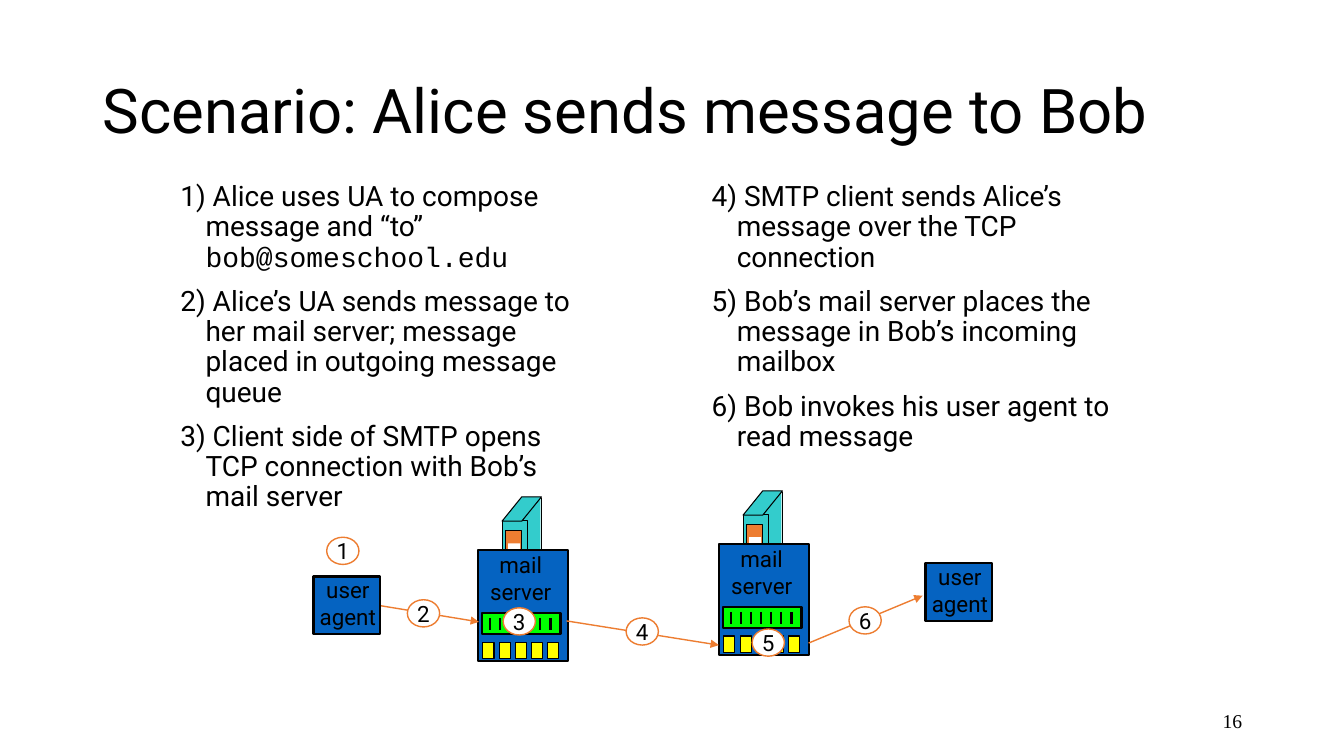
import pptx
import pptx.util
import pptx.dml.color
import pptx.enum.shapes
import pptx.enum.text
import pptx.oxml.ns
import lxml.etree

Inches = pptx.util.Inches
Pt = pptx.util.Pt
RGBColor = pptx.dml.color.RGBColor
SHAPE = pptx.enum.shapes.MSO_SHAPE
ALIGN = pptx.enum.text.PP_ALIGN
ANCHOR = pptx.enum.text.MSO_ANCHOR

BLACK = RGBColor(0x00, 0x00, 0x00)
WHITE = RGBColor(0xFF, 0xFF, 0xFF)
BLUE = RGBColor(0x05, 0x63, 0xC1)
TEAL = RGBColor(0x33, 0xCC, 0xCC)
ORANGE = RGBColor(0xED, 0x7D, 0x31)
GREEN = RGBColor(0x00, 0xFF, 0x00)
YELLOW = RGBColor(0xFF, 0xFF, 0x00)

ADDRESS = "bob@someschool.edu"
LEFT_STEPS = [
    "1) Alice uses UA to compose message and “to” ",
    "2) Alice’s UA sends message to her mail server; message placed in outgoing message queue",
    "3) Client side of SMTP opens TCP connection with Bob’s mail server",
]
RIGHT_STEPS = [
    "4) SMTP client sends Alice’s message over the TCP connection",
    "5) Bob’s mail server places the message in Bob’s incoming mailbox",
    "6) Bob invokes his user agent to read message",
]


def style_run(run, size, font="Roboto"):
    run.font.size = Pt(size)
    run.font.name = font
    run.font.color.rgb = BLACK


def add_text(slide, box, lines, size, align=ALIGN.LEFT, font="Roboto",
             anchor=ANCHOR.TOP, wrap=True):
    text_frame = slide.shapes.add_textbox(*map(Inches, box)).text_frame
    text_frame.word_wrap = wrap
    text_frame.vertical_anchor = anchor
    text_frame.text = "\n".join(lines)
    for paragraph in text_frame.paragraphs:
        paragraph.alignment = align
        for run in paragraph.runs:
            style_run(run, size, font)
    return text_frame


def add_steps(slide, box, steps):
    text_frame = add_text(slide, box, steps, 20)
    for index, paragraph in enumerate(text_frame.paragraphs):
        properties = paragraph._p.get_or_add_pPr()
        properties.set("marL", str(Inches(0.25)))
        properties.set("indent", str(Inches(-0.25)))
        paragraph.line_spacing = 0.9
        if index:
            paragraph.space_before = Pt(10)
    return text_frame


def add_block(slide, kind, box, fill, line=None, width=0.75):
    shape = slide.shapes.add_shape(kind, *map(Inches, box))
    shape.shadow.inherit = False
    shape.fill.solid()
    shape.fill.fore_color.rgb = fill
    if line is None:
        shape.line.fill.background()
    else:
        shape.line.color.rgb = line
        shape.line.width = Pt(width)
    return shape


def add_line(slide, start, end, color, width, arrow=False):
    connector = slide.shapes.add_connector(
        pptx.enum.shapes.MSO_CONNECTOR.STRAIGHT, *map(Inches, start + end))
    connector.line.color.rgb = color
    connector.line.width = Pt(width)
    if arrow:
        tail = lxml.etree.SubElement(connector.line._get_or_add_ln(),
                                     pptx.oxml.ns.qn("a:tailEnd"))
        tail.set("type", "triangle")
    lxml.etree.SubElement(connector._element.spPr, pptx.oxml.ns.qn("a:effectLst"))


def add_user_agent(slide, left, top):
    add_block(slide, SHAPE.RECTANGLE, (left, top, 0.66, 0.57), BLUE, BLACK, 1.5)
    add_text(slide, (left - 0.05, top - 0.05, 0.78, 0.64), ["user", "agent"], 16,
             ALIGN.CENTER, wrap=False)


def add_mail_server(slide, left, top):
    # Computer tower behind the server box
    add_block(slide, SHAPE.RECTANGLE, (left + 0.44, top - 0.53, 0.18, 0.78), TEAL)
    add_block(slide, SHAPE.RECTANGLE, (left + 0.24, top - 0.3, 0.25, 0.78), TEAL, BLACK)
    roof = add_block(slide, SHAPE.PARALLELOGRAM, (left + 0.24, top - 0.53, 0.39, 0.24),
                     TEAL, BLACK)
    roof.adjustments[0] = 0.81
    add_line(slide, (left + 0.63, top - 0.52), (left + 0.63, top + 0.25), BLACK, 0.75)
    add_block(slide, SHAPE.RECTANGLE, (left + 0.27, top - 0.2, 0.16, 0.45), ORANGE, BLACK)
    add_block(slide, SHAPE.RECTANGLE, (left + 0.3, top - 0.07, 0.12, 0.16), WHITE)

    # Server box and its label
    add_block(slide, SHAPE.RECTANGLE, (left, top, 0.89, 1.1), BLUE, BLACK, 1.5)
    add_text(slide, (left + 0.01, top - 0.04, 0.83, 0.64), ["mail", "server"], 16,
             ALIGN.CENTER, wrap=False)

    # Outgoing message queue
    add_block(slide, SHAPE.RECTANGLE, (left + 0.04, top + 0.62, 0.78, 0.21),
              GREEN, BLACK, 1.5)
    for index in range(7):
        x = left + 0.12 + 0.1 * index
        add_line(slide, (x, top + 0.67), (x, top + 0.79), BLACK, 1.5)

    # User mailboxes
    for index in range(5):
        add_block(slide, SHAPE.RECTANGLE,
                  (left + 0.05 + 0.16 * index, top + 0.91, 0.11, 0.16), YELLOW, BLACK)


def add_step_marker(slide, number, left, top):
    marker = add_block(slide, SHAPE.OVAL, (left, top, 0.32, 0.27), WHITE, ORANGE, 1)
    text_frame = marker.text_frame
    text_frame.word_wrap = False
    text_frame.vertical_anchor = ANCHOR.MIDDLE
    text_frame.text = str(number)
    text_frame.paragraphs[0].alignment = ALIGN.CENTER
    style_run(text_frame.paragraphs[0].runs[0], 16)


def main():
    presentation = pptx.Presentation()
    presentation.slide_width = Inches(13.33)
    presentation.slide_height = Inches(7.5)
    slide = presentation.slides.add_slide(presentation.slide_layouts[6])

    # Title and slide number
    title = add_text(slide, (0.92, 0.4, 11.5, 1.45),
                     ["Scenario: Alice sends message to Bob"], 44, anchor=ANCHOR.MIDDLE)
    title.paragraphs[0].line_spacing = 0.9
    add_text(slide, (9.42, 6.95, 3, 0.4), ["16"], 14, ALIGN.RIGHT,
             "Times New Roman", ANCHOR.MIDDLE)

    # Scenario steps
    left_steps = add_steps(slide, (1.69, 1.76, 4.17, 3.52), LEFT_STEPS)
    address = left_steps.paragraphs[0].add_run()
    address.text = ADDRESS
    style_run(address, 20, "Courier New")
    add_steps(slide, (6.96, 1.76, 4.17, 2.91), RIGHT_STEPS)

    # Agents and servers
    add_user_agent(slide, 3.11, 5.72)
    add_mail_server(slide, 4.74, 5.46)
    add_mail_server(slide, 7.13, 5.4)
    add_user_agent(slide, 9.18, 5.59)

    # Message path
    for start, end in [((3.78, 6.01), (4.75, 6.17)),
                       ((5.62, 6.16), (7.13, 6.4)),
                       ((8.02, 6.38), (9.15, 5.91))]:
        add_line(slide, start, end, ORANGE, 1, arrow=True)

    # Step numbers along the path
    markers = [(3.24, 5.33), (4.04, 5.95), (4.99, 6.03),
               (6.21, 6.13), (7.46, 6.24), (8.42, 6.02)]
    for number, (left, top) in enumerate(markers, 1):
        add_step_marker(slide, number, left, top)

    presentation.save("out.pptx")


if __name__ == "__main__":
    main()
